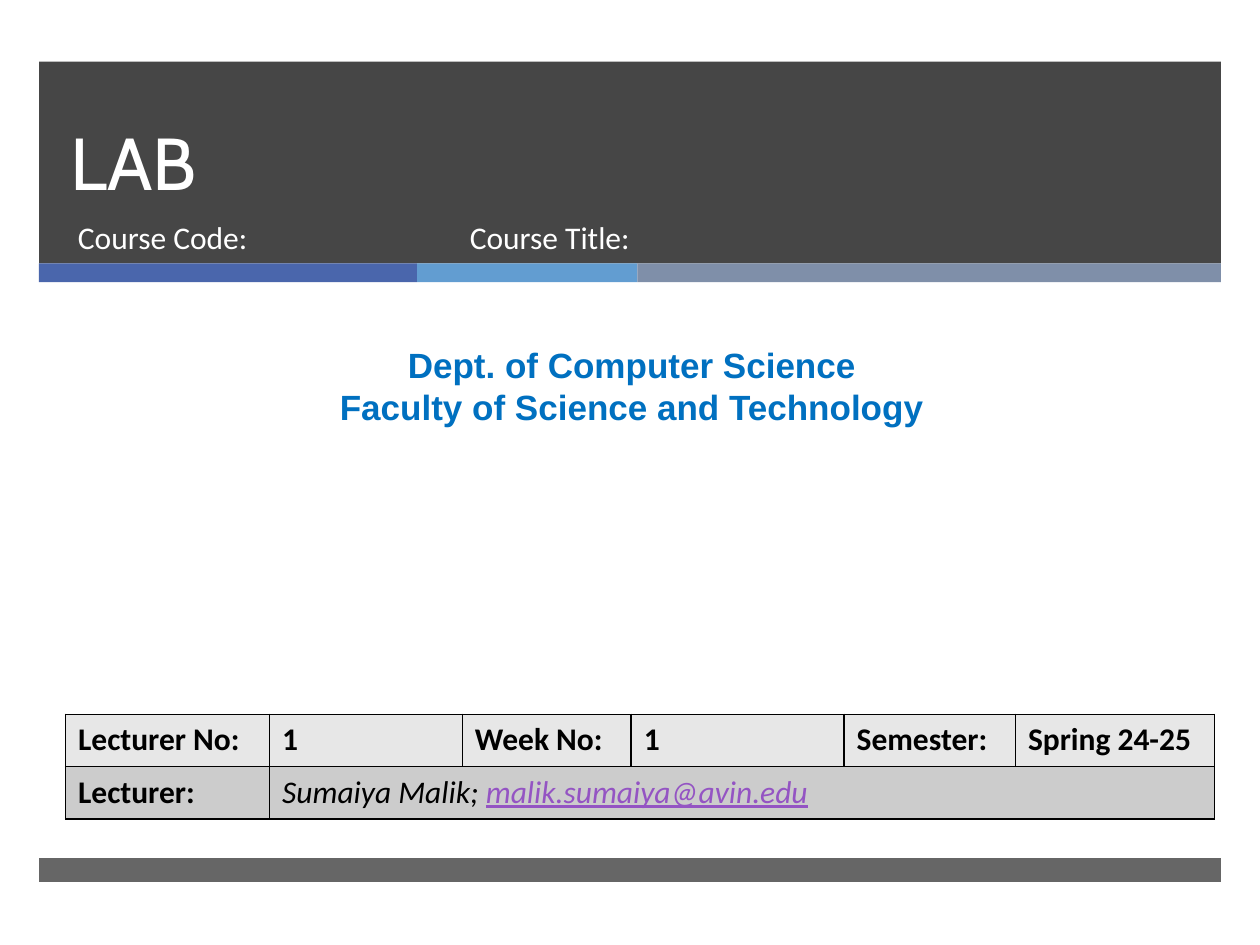
from dataclasses import dataclass

from lxml.etree import SubElement as Sub
from pptx import Presentation
from pptx.dml.color import RGBColor as RGB
from pptx.enum.shapes import MSO_SHAPE as Shape
from pptx.enum.text import MSO_ANCHOR as Anchor, PP_ALIGN as Align
from pptx.oxml.ns import qn
from pptx.util import Inches, Pt


@dataclass(frozen=True)
class Theme:
    dark: str = "262626"
    white: str = "FFFFFF"
    black: str = "000000"
    dept: str = "0070C0"
    link: str = "9454C3"
    accents: tuple = ("4A66AC", "629DD1", "7F8FA9")
    rows: tuple = ("E7E7E7", "CCCCCC")
    title: int = 42
    body: int = 18
    head: int = 20


THEME = Theme()


def add_bar(slide, box, color, alpha=100):
    """Add a plain band; alpha is its opacity in percent."""
    bar = slide.shapes.add_shape(Shape.RECTANGLE, *map(Inches, box))
    bar.shadow.inherit = False
    bar.line.fill.background()
    bar.fill.solid()
    bar.fill.fore_color.rgb = RGB.from_string(color)
    if alpha < 100:
        tint = bar.fill._xPr.find(".//" + qn("a:srgbClr"))
        Sub(tint, qn("a:alpha"), val=str(alpha * 1000))


def set_font(font, name, size, color, bold=False):
    font.name, font.size, font.bold = name, Pt(size), bold
    font.color.rgb = RGB.from_string(color)


def add_text(slide, box, lines, name, size, color, bold=False,
             align=Align.LEFT, anchor=Anchor.TOP, space=None):
    frame = slide.shapes.add_textbox(*map(Inches, box)).text_frame
    frame.word_wrap = True
    frame.vertical_anchor = anchor
    frame.text = "\n".join(lines)
    for para in frame.paragraphs:
        para.alignment = align
        para.line_spacing = space
        set_font(para.font, name, size, color, bold)


def set_cell(cell, fill):
    """Fill the cell and draw its four borders."""
    props = cell._tc.get_or_add_tcPr()
    for side in ("lnL", "lnR", "lnT", "lnB"):
        line = Sub(props, qn("a:" + side), w=str(Pt(1)))
        paint = Sub(line, qn("a:solidFill"))
        Sub(paint, qn("a:srgbClr"), val=THEME.black)
    cell.fill.solid()
    cell.fill.fore_color.rgb = RGB.from_string(fill)


def add_lecture(slide, box, widths, labels, name, mail):
    frame = slide.shapes.add_table(2, len(widths), *map(Inches, box))
    table = frame.table
    for col, width in zip(table.columns, widths):
        col.width = Inches(width)
    for row, fill in zip(table.rows, THEME.rows):
        for cell in row.cells:
            set_cell(cell, fill)
    for col, label in enumerate(labels):
        table.cell(0, col).text = label
    table.cell(1, 0).text = "Lecturer:"
    person = table.cell(1, 1)
    person.merge(table.cell(1, len(widths) - 1))
    para = person.text_frame.paragraphs[0]
    para.add_run().text = name
    link = para.add_run()
    link.text = mail
    for cell in table.iter_cells():
        font = cell.text_frame.paragraphs[0].font
        set_font(font, "Calibri", THEME.body, THEME.black, bold=True)
    para.font.bold, para.font.italic = False, True
    link.font.underline = True
    link.font.color.rgb = RGB.from_string(THEME.link)


def main():
    deck = Presentation()
    deck.slide_width, deck.slide_height = Inches(10), Inches(7.5)
    slide = deck.slides.add_slide(deck.slide_layouts[6])

    left, wide = 0.31, 9.38
    add_bar(slide, (left, 0.49, wide, 1.6), THEME.dark, 85)
    x = left
    for width, color in zip((3, 1.75, 4.63), THEME.accents):
        add_bar(slide, (x, 2.09, width, 0.15), color)
        x += width
    add_bar(slide, (left, 6.81, wide, 0.19), THEME.dark, 70)

    add_text(slide, (0.46, 0.49, 8.54, 1.19), ["LAB"], "Cabin", THEME.title,
             THEME.white, anchor=Anchor.BOTTOM, space=Pt(46))
    for x, width, label in ((0.52, 3.05, "Course Code:"),
                            (3.63, 4.55, "Course Title:")):
        add_text(slide, (x, 1.68, width, 0.53), [label], "Calibri",
                 THEME.body, THEME.white)
    add_text(slide, (0.08, 2.68, 9.87, 0.77),
             ["Dept. of Computer Science", "Faculty of Science and Technology"],
             "Arial", THEME.head, THEME.dept, bold=True, align=Align.CENTER)

    add_lecture(slide, (0.52, 5.67, 9.12, 0.83),
                (1.62, 1.53, 1.34, 1.69, 1.36, 1.58),
                ("Lecturer No:", "1", "Week No:", "1", "Semester:",
                 "Spring 24-25"),
                "Sumaiya Malik; ", "malik.sumaiya@avin.edu")
    deck.save("out.pptx")


if __name__ == "__main__":
    main()
